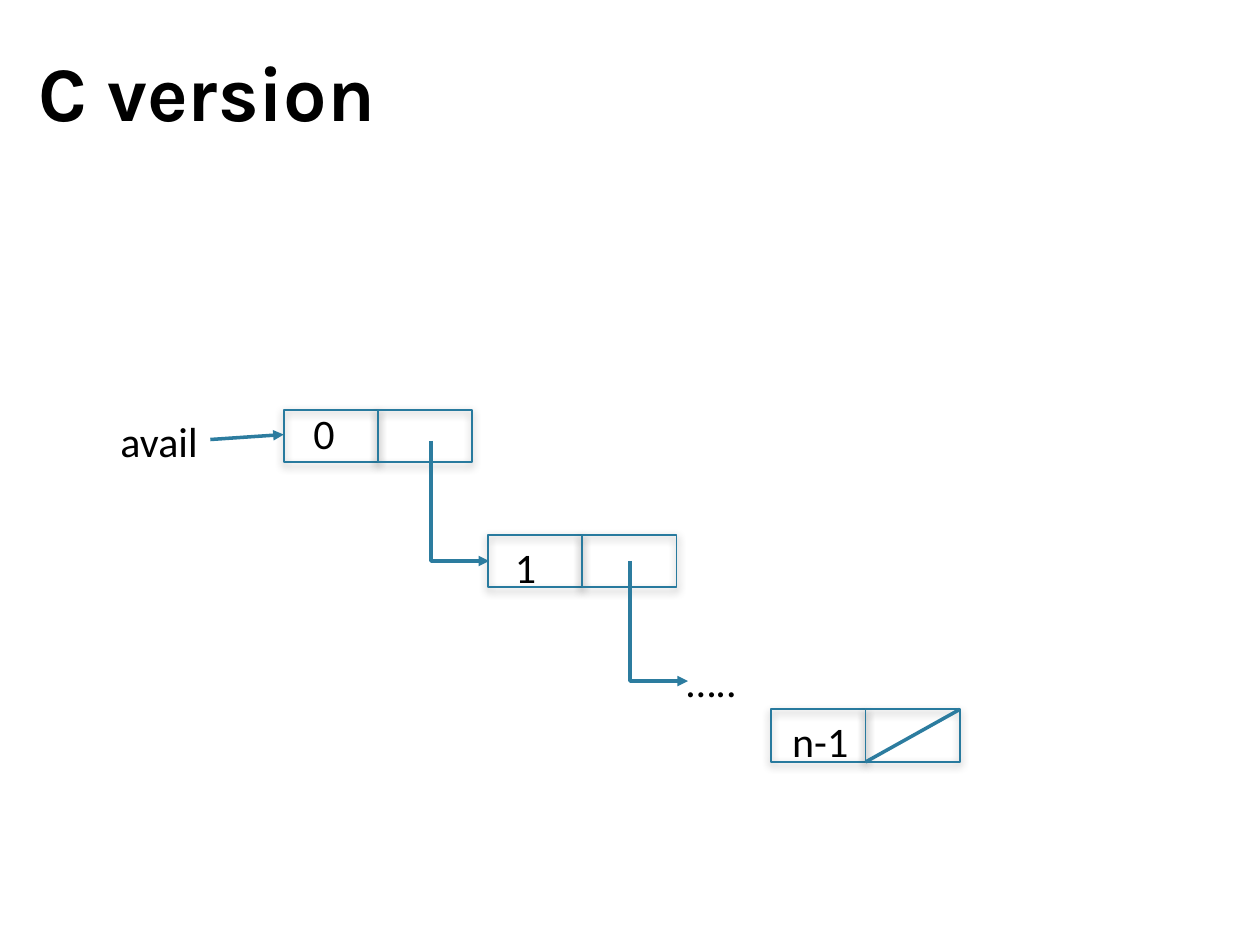
"""Builds a slide showing the available-node list of the C version."""
from dataclasses import dataclass

from lxml import etree
from pptx import Presentation
from pptx import util as u
from pptx.dml.color import RGBColor
from pptx.enum import shapes, text
from pptx.oxml.ns import qn


@dataclass(frozen=True)
class Theme:
    ink: RGBColor = RGBColor(0, 0, 0)
    box: RGBColor = RGBColor(0x28, 0x7A, 0x9E)
    link: RGBColor = RGBColor(0x2C, 0x7C, 0x9F)
    title_font: str = "Karla"
    body_font: str = "Calibri"
    title_size: int = 44
    body_size: int = 24
    box_line: int = 1
    link_line: int = 2


THEME = Theme()
CELL_W, CELL_H = 1.9, 1.06
LABEL_H = 1.27
LINK_DX, LINK_DY = 1.17, 2.42
NODES = [(5.72, 8.26), (9.84, 10.78), (15.55, 14.3)]
LINK_STARTS = [(8.69, 8.89), (12.7, 11.31)]
LABELS = [
    ("avail", 2.18, 8.26, 3.3),
    ("n-1", 15.72, 14.3, 1.85),
    ("0", 6.07, 8.1, 1.17),
    ("1", 10.13, 10.8, 1.17),
    ("…..", 13.59, 13.08, 1.85),
]


def format_text(tf, font, size, bold=False):
    p = tf.paragraphs[0]
    p.alignment = text.PP_ALIGN.LEFT
    f = p.runs[0].font
    f.name, f.size, f.bold = font, u.Pt(size), bold
    f.color.rgb = THEME.ink


def add_title(s, content):
    sp = s.shapes.title
    sp.left, sp.top, sp.width, sp.height = map(u.Cm, (0.53, 0.71, 9.63, 2.24))
    tf = sp.text_frame
    tf.text = content
    tf.auto_size = text.MSO_AUTO_SIZE.NONE
    tf.vertical_anchor = text.MSO_ANCHOR.MIDDLE
    format_text(tf, THEME.title_font, THEME.title_size, bold=True)


def add_shadow(sp):
    sp.shadow.inherit = False
    effects = sp._element.spPr.find(qn("a:effectLst"))
    outer = etree.SubElement(effects, qn("a:outerShdw"), blurRad=str(u.Pt(5)),
                             dist=str(u.Pt(2)), dir="5400000", rotWithShape="0")
    color = etree.SubElement(outer, qn("a:srgbClr"), val=str(THEME.ink))
    etree.SubElement(color, qn("a:alpha"), val="40000")


def add_node(s, x, y):
    for i in range(2):
        sp = s.shapes.add_shape(shapes.MSO_SHAPE.RECTANGLE, u.Cm(x + i * CELL_W),
                                u.Cm(y), u.Cm(CELL_W), u.Cm(CELL_H))
        sp.fill.background()
        sp.line.color.rgb = THEME.box
        sp.line.width = u.Pt(THEME.box_line)
        add_shadow(sp)


def add_line(s, start, end, arrow=True, kind=shapes.MSO_CONNECTOR.STRAIGHT):
    c = s.shapes.add_connector(kind, *map(u.Cm, (*start, *end)))
    c.line.color.rgb = THEME.link
    c.line.width = u.Pt(THEME.link_line)
    if arrow:
        etree.SubElement(c.line._get_or_add_ln(), qn("a:tailEnd"), type="triangle")
    etree.SubElement(c._element.spPr, qn("a:effectLst"))
    return c


def add_bent_link(s, x, y):
    """Draw an arrow down and then right, as a quarter-turned single bend."""
    cx, cy = x + LINK_DX / 2, y + LINK_DY / 2
    c = add_line(s, (cx + LINK_DY / 2, cy - LINK_DX / 2),
                 (cx - LINK_DY / 2, cy + LINK_DX / 2),
                 kind=shapes.MSO_CONNECTOR.ELBOW)
    spPr = c._element.spPr
    spPr.find(qn("a:xfrm")).set("rot", "16200000")
    spPr.find(qn("a:prstGeom")).set("prst", "bentConnector2")


def add_label(s, content, x, y, width):
    tf = s.shapes.add_textbox(*map(u.Cm, (x, y, width, LABEL_H))).text_frame
    tf.word_wrap = True
    tf.auto_size = text.MSO_AUTO_SIZE.SHAPE_TO_FIT_TEXT
    tf.text = content
    format_text(tf, THEME.body_font, THEME.body_size)


def main():
    prs = Presentation()
    prs.slide_width, prs.slide_height = u.Cm(25.4), u.Cm(19.05)
    s = prs.slides.add_slide(prs.slide_layouts[5])
    add_title(s, "C version")
    for node in NODES:
        add_node(s, *node)
    for start in LINK_STARTS:
        add_bent_link(s, *start)
    x, y = NODES[-1]
    add_line(s, (x + 2 * CELL_W, y), (x + CELL_W, y + CELL_H), arrow=False)
    add_line(s, (4.24, 8.86), (5.72, 8.76))
    for label in LABELS:
        add_label(s, *label)
    prs.save("out.pptx")


if __name__ == "__main__":
    main()
